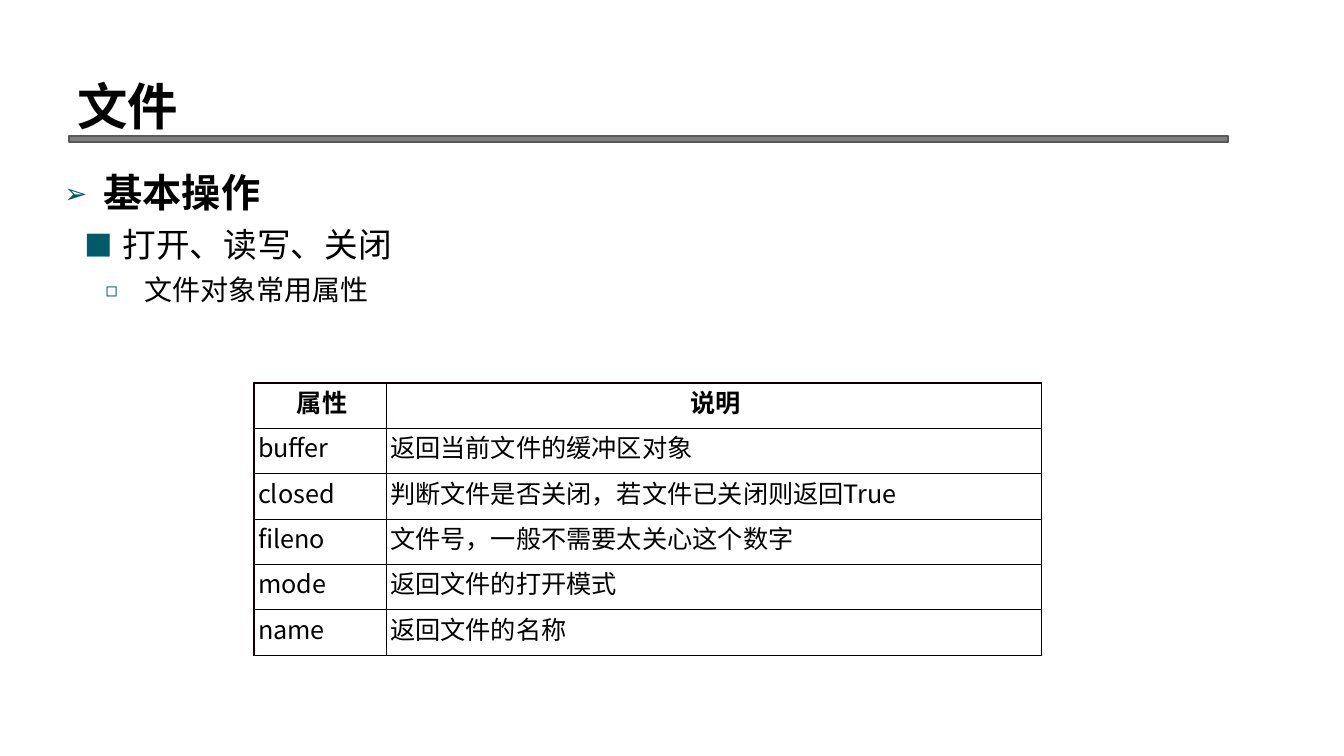
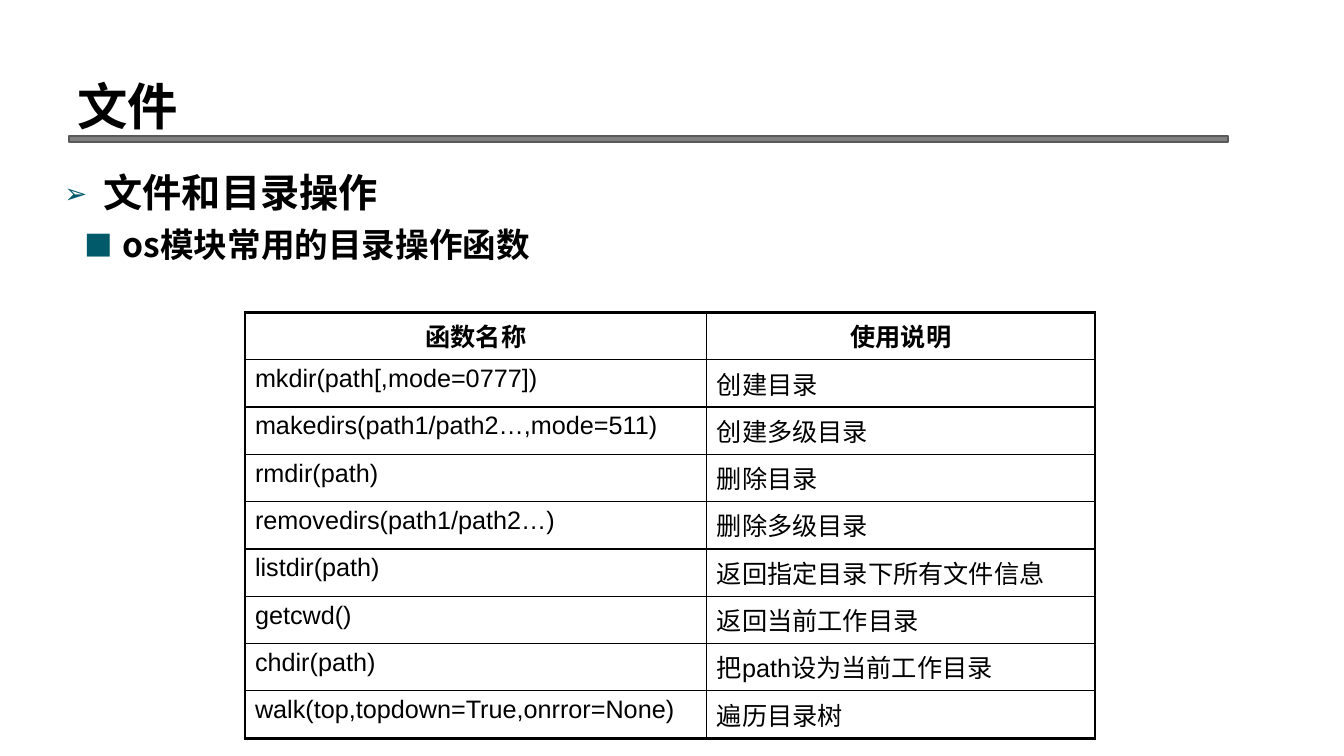
from dataclasses import dataclass

from lxml import etree
from pptx import Presentation
from pptx.dml.color import RGBColor
from pptx.enum.shapes import MSO_SHAPE
from pptx.enum.text import MSO_ANCHOR, PP_ALIGN
from pptx.oxml.ns import qn
from pptx.util import Inches, Pt

RECT = MSO_SHAPE.RECTANGLE
BOTTOM = MSO_ANCHOR.BOTTOM
CENTER, LEFT = PP_ALIGN.CENTER, PP_ALIGN.LEFT
SLIDE_W, SLIDE_H = Inches(13.33), Inches(7.5)


@dataclass(frozen=True)
class Theme:
    text: str = "000000"
    rule: str = "808080"
    rule_edge: str = "595959"
    bullet: str = "005A6A"
    font: str = "Noto Sans CJK SC"
    code_font: str = "Arial"
    title_size: int = 36
    cell_size: int = 18
    line_spacing: float = 1.23


@dataclass(frozen=True)
class Box:
    left: float
    top: float
    width: float
    height: float

    def emu(self) -> tuple[int, int, int, int]:
        return across(self.left), down(self.top), across(self.width), down(self.height)


@dataclass(frozen=True)
class Level:
    char: str
    scale: int
    size: int
    margin: float
    hang: float


@dataclass(frozen=True)
class Item:
    level: Level
    text: str
    bold: bool = False


@dataclass(frozen=True)
class Grid:
    left: float
    top: float
    cols: tuple[float, ...]
    row: float
    rows: tuple[tuple[str, ...], ...]
    font: str
    edge: str
    outer: float
    insets: tuple[float, float, float, float]


@dataclass(frozen=True)
class Page:
    title: str
    items: tuple[Item, ...]
    grid: Grid


THEME = Theme()
TITLE_BOX = Box(5.03, 1.87, 85.22, 16.67)
RULE_BOX = Box(5.1, 18, 86.27, 0.8)
BODY_BOX = Box(4.05, 20.13, 90.85, 71.33)

TOPIC = Level("➢", 70, 28, 2.93, 2.93)
POINT = Level("■", 85, 24, 4.35, 2.85)
DETAIL = Level("◻", 70, 20, 5.93, 2.85)

ATTRIBUTES = Grid(
    18.9, 50.67, (9.83, 48.76), 6,
    (
        ("属性", "说明"),
        ("buffer", "返回当前文件的缓冲区对象"),
        ("closed", "判断文件是否关闭，若文件已关闭则返回True"),
        ("fileno", "文件号，一般不需要太关心这个数字"),
        ("mode", "返回文件的打开模式"),
        ("name", "返回文件的名称"),
    ),
    THEME.font, "080000", 1, (0.3, 0, 0, 0),
)
FUNCTIONS = Grid(
    18.23, 41.33, (34.36, 28.88), 6.26,
    (
        ("函数名称", "使用说明"),
        ("mkdir(path[,mode=0777])", "创建目录"),
        ("makedirs(path1/path2…,mode=511)", "创建多级目录"),
        ("rmdir(path)", "删除目录"),
        ("removedirs(path1/path2…)", "删除多级目录"),
        ("listdir(path)", "返回指定目录下所有文件信息"),
        ("getcwd()", "返回当前工作目录"),
        ("chdir(path)", "把path设为当前工作目录"),
        ("walk(top,topdown=True,onrror=None)", "遍历目录树"),
    ),
    THEME.code_font, "000000", 2.25, (0.75, 0.67, 0.75, 0.67),
)
PAGES = (
    Page(
        "文件",
        (
            Item(TOPIC, "基本操作", True),
            Item(POINT, "打开、读写、关闭"),
            Item(DETAIL, "文件对象常用属性"),
        ),
        ATTRIBUTES,
    ),
    Page(
        "文件",
        (
            Item(TOPIC, "文件和目录操作", True),
            Item(POINT, "os模块常用的目录操作函数", True),
        ),
        FUNCTIONS,
    ),
)


def across(percent: float) -> int:
    return round(SLIDE_W * percent / 100)


def down(percent: float) -> int:
    return round(SLIDE_H * percent / 100)


def rgb(color: str) -> RGBColor:
    return RGBColor.from_string(color)


def child(parent, tag: str, **attrs):
    return etree.SubElement(parent, qn(tag), {k: str(v) for k, v in attrs.items()})


def style(p, text: str, size: float, bold: bool, font: str = THEME.font) -> None:
    p.add_run().text = text
    f = p.font
    f.size, f.bold, f.name = Pt(size), bold, font
    f.color.rgb = rgb(THEME.text)
    child(p._p.get_or_add_pPr().get_or_add_defRPr(), "a:ea", typeface=THEME.font)


def add_bullet(p, level: Level) -> None:
    pPr = p._p.get_or_add_pPr()
    pPr.set("marL", str(across(level.margin)))
    pPr.set("indent", str(-across(level.hang)))
    child(child(pPr, "a:buClr"), "a:srgbClr", val=THEME.bullet)
    child(pPr, "a:buSzPct", val=level.scale * 1000)
    child(pPr, "a:buFont", typeface=THEME.font)
    child(pPr, "a:buChar", char=level.char)


def add_frame(s, box: Box):
    tf = s.shapes.add_textbox(*box.emu()).text_frame
    tf.word_wrap = True
    return tf


def add_title(s, text: str) -> None:
    tf = add_frame(s, TITLE_BOX)
    tf.vertical_anchor = BOTTOM
    style(tf.paragraphs[0], text, THEME.title_size, True)


def add_rule(s) -> None:
    sp = s.shapes.add_shape(RECT, *RULE_BOX.emu())
    sp.shadow.inherit = False
    sp.fill.solid()
    sp.fill.fore_color.rgb = rgb(THEME.rule)
    sp.line.color.rgb = rgb(THEME.rule_edge)
    sp.line.width = Pt(1.5)


def add_items(s, items: tuple[Item, ...]) -> None:
    tf = add_frame(s, BODY_BOX)
    for i, item in enumerate(items):
        p = tf.add_paragraph() if i else tf.paragraphs[0]
        p.line_spacing = THEME.line_spacing
        add_bullet(p, item.level)
        style(p, item.text, item.level.size, item.bold)


def set_borders(cell, color: str, widths: dict[str, float]) -> None:
    tcPr = cell._tc.get_or_add_tcPr()
    for i, (side, width) in enumerate(widths.items()):
        ln = etree.Element(qn(f"a:{side}"), {"w": str(Pt(width))})
        child(child(ln, "a:solidFill"), "a:srgbClr", val=color)
        tcPr.insert(i, ln)


def add_grid(s, grid: Grid) -> None:
    n_rows, n_cols = len(grid.rows), len(grid.cols)
    box = Box(grid.left, grid.top, sum(grid.cols), grid.row * n_rows)
    table = s.shapes.add_table(n_rows, n_cols, *box.emu()).table
    table.first_row = table.horz_banding = False
    for column, width in zip(table.columns, grid.cols):
        column.width = across(width)
    left, top, right, bottom = grid.insets
    for r, texts in enumerate(grid.rows):
        table.rows[r].height = down(grid.row)
        for c, text in enumerate(texts):
            cell = table.cell(r, c)
            cell.margin_left, cell.margin_right = across(left), across(right)
            cell.margin_top, cell.margin_bottom = down(top), down(bottom)
            cell.fill.background()
            set_borders(cell, grid.edge, {
                "lnL": grid.outer if c == 0 else 1,
                "lnR": grid.outer if c == n_cols - 1 else 1,
                "lnT": grid.outer if r == 0 else 1,
                "lnB": grid.outer if r == n_rows - 1 else 1,
            })
            p = cell.text_frame.paragraphs[0]
            p.alignment = LEFT if r else CENTER
            style(p, text, THEME.cell_size, r == 0, grid.font)


def add_page(prs, page: Page) -> None:
    s = prs.slides.add_slide(prs.slide_layouts[6])
    add_rule(s)
    add_items(s, page.items)
    add_title(s, page.title)
    add_grid(s, page.grid)


def main() -> None:
    prs = Presentation()
    prs.slide_width, prs.slide_height = SLIDE_W, SLIDE_H
    for page in PAGES:
        add_page(prs, page)
    prs.save("out.pptx")


if __name__ == "__main__":
    main()
